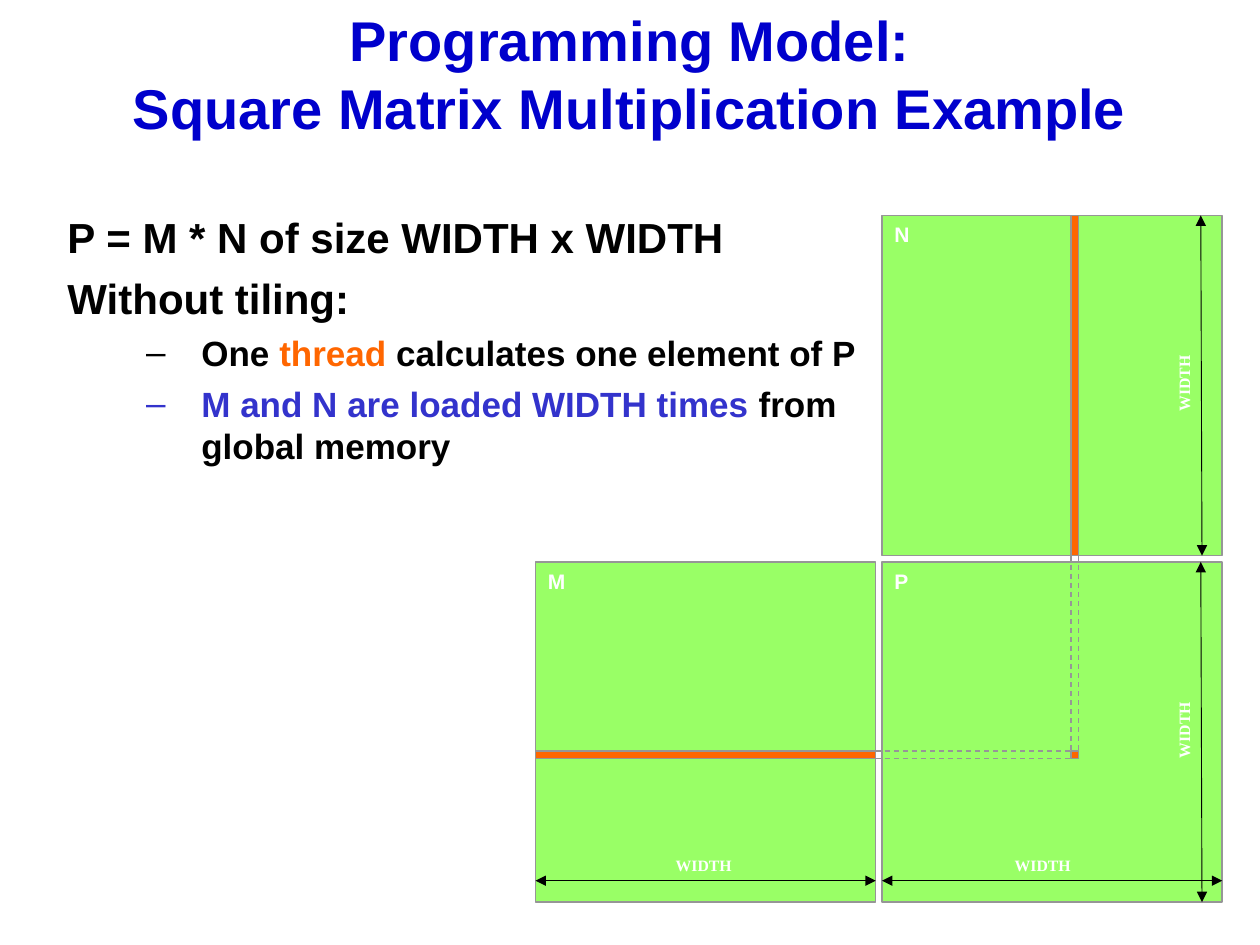
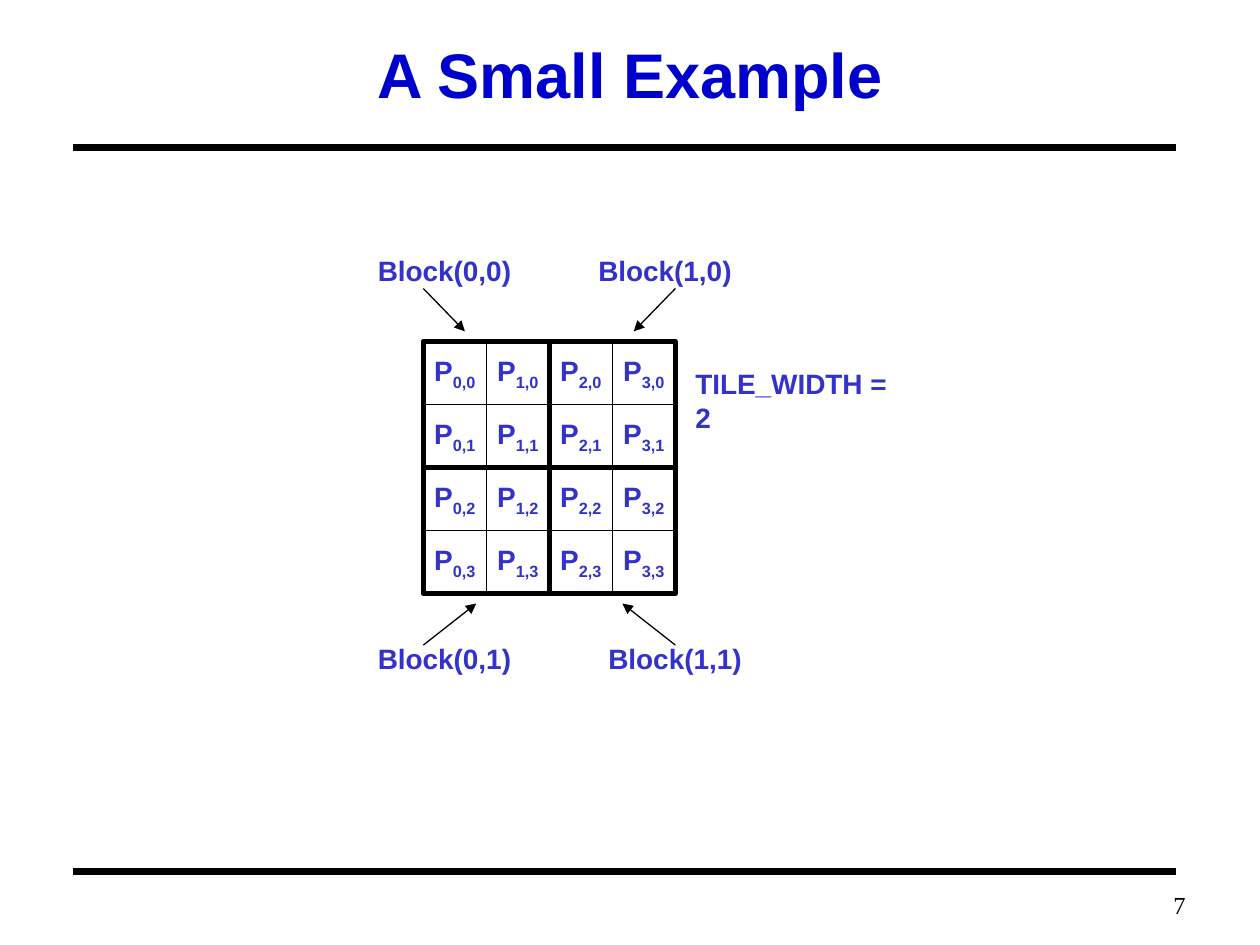
from dataclasses import dataclass

import lxml.etree
import pptx
import pptx.dml.color
import pptx.enum.dml
import pptx.enum.shapes
import pptx.enum.text
import pptx.oxml.ns
import pptx.slide
import pptx.text.text
import pptx.util

Pt = pptx.util.Pt
RGBColor = pptx.dml.color.RGBColor
Align = pptx.enum.text.PP_ALIGN
Anchor = pptx.enum.text.MSO_ANCHOR
qn = pptx.oxml.ns.qn

# Shared style
TITLE_BLUE = RGBColor(0x00, 0x00, 0xCC)
LABEL_BLUE = RGBColor(0x33, 0x33, 0xCC)
ORANGE = RGBColor(0xFF, 0x66, 0x00)
GREEN = RGBColor(0x99, 0xFF, 0x66)
GREY = RGBColor(0x96, 0x96, 0x96)
BLACK = RGBColor(0x00, 0x00, 0x00)
WHITE = RGBColor(0xFF, 0xFF, 0xFF)
SANS = "Arial"
SERIF = "Times New Roman"

# Matrix diagram, in points
MATRIX_SIZE = 194.4
M_LEFT, P_LEFT = 306, 504
N_TOP, P_TOP = 123.12, 321.12
STRIP_LEFT, STRIP_TOP, STRIP_SIZE = 612, 429.12, 4.32

# Block grid, in points
GRID_LEFT, GRID_TOP = 241.92, 195.12
CELL_SIZE, TILE_WIDTH, GRID_COUNT = 36, 2, 4


@dataclass(frozen=True)
class Box:
    left: float
    top: float
    width: float
    height: float

    def lengths(self) -> tuple:
        return Pt(self.left), Pt(self.top), Pt(self.width), Pt(self.height)


@dataclass(frozen=True)
class TextStyle:
    size: float
    color: RGBColor
    name: str = SANS
    bold: bool = True
    align: Align = Align.LEFT
    anchor: Anchor = Anchor.TOP
    wrap: bool = False
    inset: bool = True


@dataclass(frozen=True)
class Line:
    x1: float
    y1: float
    x2: float
    y2: float
    color: RGBColor = BLACK
    width: float = 0.75
    dashed: bool = False
    ends: tuple[str, ...] = ()


@dataclass(frozen=True)
class Label:
    text: str
    box: Box
    rotation: float = 0


@dataclass(frozen=True)
class BodyParagraph:
    colored_texts: tuple[tuple[str, RGBColor], ...]
    bullet: bool = False


MATRIX_STYLE = TextStyle(12, WHITE, wrap=True)
WIDTH_STYLE = TextStyle(9, WHITE, SERIF, align=Align.CENTER, inset=False)
LABEL_STYLE = TextStyle(16, LABEL_BLUE)
CELL_STYLE = TextStyle(16, LABEL_BLUE, align=Align.CENTER, anchor=Anchor.MIDDLE)
NUMBER_STYLE = TextStyle(14, BLACK, SERIF, False, Align.RIGHT, Anchor.MIDDLE)


def set_font(paragraph: pptx.text.text._Paragraph, style: TextStyle) -> None:
    paragraph.alignment = style.align
    paragraph.font.size = Pt(style.size)
    paragraph.font.name = style.name
    paragraph.font.bold = style.bold
    paragraph.font.color.rgb = style.color


def prepare_frame(frame: pptx.text.text.TextFrame, style: TextStyle) -> pptx.text.text._Paragraph:
    """Set up a text frame and return its first paragraph."""
    frame.word_wrap = style.wrap
    frame.vertical_anchor = style.anchor
    horizontal, vertical = (7.2, 3.6) if style.inset else (0, 0)
    frame.margin_left = frame.margin_right = Pt(horizontal)
    frame.margin_top = frame.margin_bottom = Pt(vertical)
    paragraph = frame.paragraphs[0]
    set_font(paragraph, style)
    return paragraph


def add_text(slide: pptx.slide.Slide, label: Label, style: TextStyle) -> None:
    shape = slide.shapes.add_textbox(*label.box.lengths())
    shape.rotation = label.rotation
    prepare_frame(shape.text_frame, style).text = label.text


def add_title(slide: pptx.slide.Slide, text: str, box: Box, size: float) -> None:
    style = TextStyle(size, TITLE_BLUE, align=Align.CENTER, anchor=Anchor.MIDDLE, wrap=True)
    add_text(slide, Label(text, box), style)


def add_rectangle(slide: pptx.slide.Slide, box: Box, line: RGBColor,
                  fill: RGBColor | None = None, width: float = 0.75):
    shape = slide.shapes.add_shape(pptx.enum.shapes.MSO_SHAPE.RECTANGLE, *box.lengths())
    shape.shadow.inherit = False
    if fill is None:
        shape.fill.background()
    else:
        shape.fill.solid()
        shape.fill.fore_color.rgb = fill
    shape.line.color.rgb = line
    shape.line.width = Pt(width)
    return shape


def add_line(slide: pptx.slide.Slide, line: Line) -> None:
    connector = slide.shapes.add_connector(
        pptx.enum.shapes.MSO_CONNECTOR.STRAIGHT,
        Pt(line.x1), Pt(line.y1), Pt(line.x2), Pt(line.y2))
    connector.line.color.rgb = line.color
    connector.line.width = Pt(line.width)
    if line.dashed:
        connector.line.dash_style = pptx.enum.dml.MSO_LINE.DASH
    properties = connector._element.spPr
    for end in line.ends:
        lxml.etree.SubElement(properties.find(qn("a:ln")), qn(f"a:{end}"), type="triangle")
    lxml.etree.SubElement(properties, qn("a:effectLst"))


def add_dash_bullet(paragraph: pptx.text.text._Paragraph, color: RGBColor) -> None:
    properties = paragraph._p.get_or_add_pPr()
    properties.set("marL", str(Pt(76.5)))
    properties.set("indent", str(-Pt(31.5)))
    bullet_color = lxml.etree.SubElement(properties, qn("a:buClr"))
    lxml.etree.SubElement(bullet_color, qn("a:srgbClr"), val=str(color))
    lxml.etree.SubElement(properties, qn("a:buFont"), typeface=SANS)
    lxml.etree.SubElement(properties, qn("a:buChar"), char="–")


def add_body(slide: pptx.slide.Slide, box: Box, paragraphs: list[BodyParagraph]) -> None:
    frame = slide.shapes.add_textbox(*box.lengths()).text_frame
    frame.word_wrap = True
    for index, item in enumerate(paragraphs):
        paragraph = frame.add_paragraph() if index else frame.paragraphs[0]
        if item.bullet:
            add_dash_bullet(paragraph, item.colored_texts[0][1])
        if index:
            paragraph.space_before = Pt(5 if item.bullet else 6)
        set_font(paragraph, TextStyle(20 if item.bullet else 24, BLACK))
        for text, color in item.colored_texts:
            run = paragraph.add_run()
            run.text = text
            if color != BLACK:
                run.font.color.rgb = color


def build_matrix_slide(slide: pptx.slide.Slide) -> None:
    add_title(slide, "Programming Model:\vSquare Matrix Multiplication Example",
              Box(18, -10.08, 684, 103.68), 32)
    add_body(slide, Box(31.5, 117.36, 468, 208.8), [
        BodyParagraph((("P = M * N of size WIDTH x WIDTH", BLACK),)),
        BodyParagraph((("Without tiling:", BLACK),)),
        BodyParagraph((("One ", BLACK), ("thread", ORANGE),
                       (" calculates one element of P", BLACK)), True),
        BodyParagraph((("M and N are loaded WIDTH times", LABEL_BLUE),
                       (" from global memory", BLACK)), True),
    ])

    # Matrices
    for name, left, top in (("M", M_LEFT, P_TOP), ("N", P_LEFT, N_TOP), ("P", P_LEFT, P_TOP)):
        matrix = add_rectangle(slide, Box(left, top, MATRIX_SIZE, MATRIX_SIZE), GREY, GREEN)
        prepare_frame(matrix.text_frame, MATRIX_STYLE).text = name

    # Column of N, row of M and their element of P
    for strip in (Box(STRIP_LEFT, N_TOP, STRIP_SIZE, MATRIX_SIZE),
                  Box(M_LEFT, STRIP_TOP, MATRIX_SIZE, STRIP_SIZE),
                  Box(STRIP_LEFT, STRIP_TOP, STRIP_SIZE, STRIP_SIZE)):
        add_rectangle(slide, strip, GREY, ORANGE)

    # Dashed guides from the strips to the element
    for offset in (0, STRIP_SIZE):
        x, y = STRIP_LEFT + offset, STRIP_TOP + offset
        add_line(slide, Line(x, N_TOP + MATRIX_SIZE, x, STRIP_TOP, GREY, dashed=True))
        add_line(slide, Line(M_LEFT + MATRIX_SIZE, y, STRIP_LEFT, y, GREY, dashed=True))

    # Width arrows
    both_ends = ("headEnd", "tailEnd")
    for left in (M_LEFT, P_LEFT):
        add_line(slide, Line(left + MATRIX_SIZE, 503.28, left, 503.28, width=0.5, ends=both_ends))
    for top in (N_TOP, P_TOP):
        add_line(slide, Line(686.88, top + MATRIX_SIZE, 686.16, top, width=0.5, ends=both_ends))

    # Width labels
    for left, top, rotation in ((660.24, 213.84, 270), (660.24, 411.84, 270),
                                (385.92, 488.88, 0), (579.6, 488.88, 0)):
        add_text(slide, Label("WIDTH", Box(left, top, 32.4, 10.8), rotation), WIDTH_STYLE)


def build_block_slide(slide: pptx.slide.Slide) -> None:
    # Rules, title and page number
    for y in (84.24, 498.24):
        add_line(slide, Line(41.76, y, 671.76, y, width=4))
    add_title(slide, "A Small Example", Box(54, 18, 612, 48.24), 36)
    add_text(slide, Label("7", Box(637.2, 505.44, 47.52, 23.04)), NUMBER_STYLE)

    # Cells
    for row in range(GRID_COUNT):
        for column in range(GRID_COUNT):
            cell = add_rectangle(slide, Box(GRID_LEFT + column * CELL_SIZE,
                                            GRID_TOP + row * CELL_SIZE,
                                            CELL_SIZE, CELL_SIZE), BLACK)
            paragraph = prepare_frame(cell.text_frame, CELL_STYLE)
            paragraph.add_run().text = "P"
            subscript = paragraph.add_run()
            subscript.text = f"{column},{row}"
            subscript._r.get_or_add_rPr().set("baseline", "-25000")

    # Block outlines
    block_size = TILE_WIDTH * CELL_SIZE
    for row in range(GRID_COUNT // TILE_WIDTH):
        for column in range(GRID_COUNT // TILE_WIDTH):
            add_rectangle(slide, Box(GRID_LEFT + column * block_size, GRID_TOP + row * block_size,
                                     block_size, block_size), BLACK, width=3)

    # Labels
    for text, left, top, width in (("Block(0,0)", 208.8, 141.12, 90.72),
                                   ("Block(1,0)", 334.8, 141.12, 90.72),
                                   ("Block(0,1)", 208.8, 362.88, 90.72),
                                   ("Block(1,1)", 340.56, 362.88, 90.72),
                                   ("TILE_WIDTH = 2", 390.24, 205.92, 136.8)):
        add_text(slide, Label(text, Box(left, top, width, 26.64)), LABEL_STYLE)

    # Arrows, mirrored about the grid
    grid_right = GRID_LEFT + GRID_COUNT * CELL_SIZE
    for start_y, end_y, reach in ((164.88, 189.36, 23.76), (368.64, 344.88, 30.24)):
        for x, direction in ((GRID_LEFT, 1), (grid_right, -1)):
            add_line(slide, Line(x, start_y, x + direction * reach, end_y, ends=("tailEnd",)))


def main() -> None:
    presentation = pptx.Presentation()
    presentation.slide_width = Pt(720)
    presentation.slide_height = Pt(540)
    blank_layout = presentation.slide_layouts[6]
    for build in (build_matrix_slide, build_block_slide):
        build(presentation.slides.add_slide(blank_layout))
    presentation.save("out.pptx")


if __name__ == "__main__":
    main()
